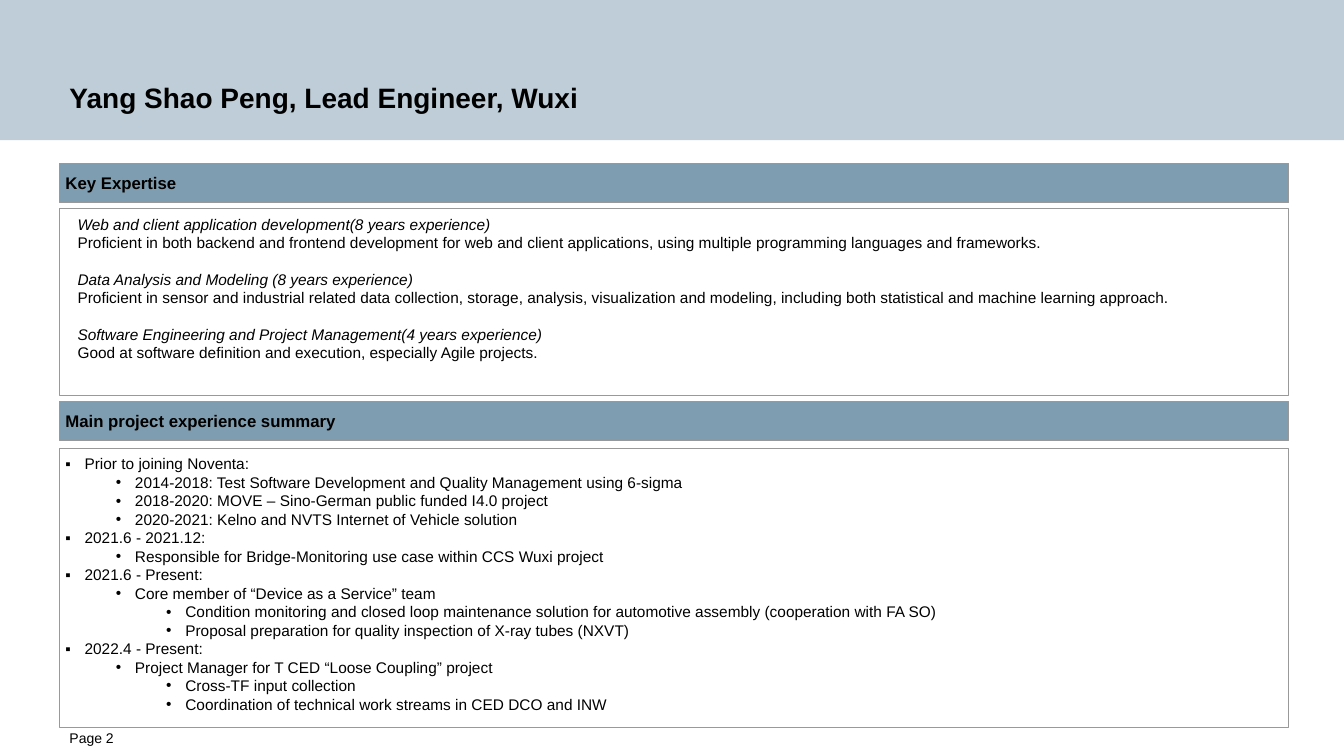
from dataclasses import dataclass

import pptx
import pptx.dml.color
import pptx.enum.shapes
import pptx.enum.text
import pptx.oxml.ns
import pptx.util
from lxml import etree

ANCHOR = pptx.enum.text.MSO_ANCHOR
EMU_PER_PX = 9144  # 100 px to the inch


def px(length):
    return pptx.util.Emu(length * EMU_PER_PX)


def rgb(value):
    return pptx.dml.color.RGBColor.from_string(value)


@dataclass(frozen=True)
class Theme:
    font: str = "Arial"
    text: str = "000000"
    band: str = "BECDD7"
    heading: str = "7F9DB0"
    panel: str = "FFFFFF"
    border: str = "999999"
    title_size: int = 20
    heading_size: int = 12
    body_size: int = 11
    footer_size: int = 10


def write(paragraph, text, theme, *, size, bold=False, italic=False,
          bullet=None, indent=0, hanging=0, before=0, spacing=None):
    """Fill a paragraph; indent and hanging are px, before is points."""
    properties = paragraph._p.get_or_add_pPr()
    if indent:
        properties.set("marL", str(px(indent)))
        properties.set("indent", str(px(-hanging)))
    if bullet:
        for tag, name, value in (("a:buFont", "typeface", theme.font),
                                 ("a:buChar", "char", bullet)):
            etree.SubElement(properties, pptx.oxml.ns.qn(tag)).set(name, value)
    paragraph.alignment = pptx.enum.text.PP_ALIGN.LEFT
    if before:
        paragraph.space_before = pptx.util.Pt(before)
    if spacing:
        paragraph.line_spacing = spacing
    run = paragraph.add_run()
    run.text = text
    run.font.name = theme.font
    run.font.size = pptx.util.Pt(size)
    run.font.bold = bold
    run.font.italic = italic
    run.font.color.rgb = rgb(theme.text)


class ProfileSlide:
    def __init__(self, slide, theme):
        self.slide = slide
        self.theme = theme

    def _fill_frame(self, frame, lines, insets, anchor):
        frame.word_wrap = True
        frame.vertical_anchor = anchor
        (frame.margin_left, frame.margin_top,
         frame.margin_right, frame.margin_bottom) = map(px, insets)
        for number, (text, style) in enumerate(lines):
            paragraph = frame.add_paragraph() if number else frame.paragraphs[0]
            write(paragraph, text, self.theme, **style)

    def box(self, place, fill, lines, *, insets=(6, 6, 6, 6),
            anchor=ANCHOR.TOP, border=True):
        shape = self.slide.shapes.add_shape(
            pptx.enum.shapes.MSO_SHAPE.RECTANGLE, *map(px, place))
        shape.shadow.inherit = False
        shape.fill.solid()
        shape.fill.fore_color.rgb = rgb(fill)
        if border:
            shape.line.color.rgb = rgb(self.theme.border)
            shape.line.width = pptx.util.Pt(0.75)
        else:
            shape.line.fill.background()
        self._fill_frame(shape.text_frame, lines, insets, anchor)

    def title(self, text):
        style = dict(size=self.theme.title_size, bold=True)
        self.box((0, 0, 1334, 139), self.theme.band, [(text, style)],
                 insets=(69, 43, 232, 26), anchor=ANCHOR.BOTTOM, border=False)

    def heading(self, top, text):
        style = dict(size=self.theme.heading_size, bold=True)
        self.box((59, top, 1220, 39), self.theme.heading, [(text, style)],
                 anchor=ANCHOR.MIDDLE)

    def panel(self, top, height, lines):
        self.box((59, top, 1220, height), self.theme.panel, lines)

    def footer(self, text):
        label = self.slide.shapes.add_textbox(*map(px, (0, 722, 193, 28)))
        style = dict(size=self.theme.footer_size, spacing=1.1)
        self._fill_frame(label.text_frame, [(text, style)],
                         (69, 0, 0, 13), ANCHOR.TOP)


EXPERTISE = [
    ("Web and client application development(8 years experience)",
     "Proficient in both backend and frontend development for web and client "
     "applications, using multiple programming languages and frameworks."),
    ("Data Analysis and Modeling (8 years experience)",
     "Proficient in sensor and industrial related data collection, storage, analysis, "
     "visualization and modeling, including both statistical and machine learning approach."),
    ("Software Engineering and Project Management(4 years experience)",
     "Good at software definition and execution, especially Agile projects."),
]

PROJECTS = [  # (outline level, text)
    (0, "Prior to joining Noventa:"),
    (1, "2014-2018: Test Software Development and Quality Management using 6-sigma"),
    (1, "2018-2020: MOVE – Sino-German public funded I4.0 project"),
    (1, "2020-2021: Kelno and NVTS Internet of Vehicle solution"),
    (0, "2021.6 - 2021.12:"),
    (1, "Responsible for Bridge-Monitoring use case within CCS Wuxi project"),
    (0, "2021.6 - Present:"),
    (1, "Core member of “Device as a Service” team"),
    (2, "Condition monitoring and closed loop maintenance solution for automotive "
        "assembly (cooperation with FA SO)"),
    (2, "Proposal preparation for quality inspection of X-ray tubes (NXVT)"),
    (0, "2022.4 - Present:"),
    (1, "Project Manager for T CED “Loose Coupling” project"),
    (2, "Cross-TF input collection"),
    (2, "Coordination of technical work streams in CED DCO and INW"),
]


def expertise_lines(size):
    lines = []
    for skill, summary in EXPERTISE:
        gap = 13 if lines else 0
        lines.append((skill, dict(size=size, italic=True, indent=12, before=gap)))
        lines.append((summary, dict(size=size, indent=12)))
    return lines


def project_lines(size):
    return [(text, dict(size=size, bullet="•" if level else "▪",
                        indent=19 + 50 * level, hanging=19))
            for level, text in PROJECTS]


def main():
    deck = pptx.Presentation()
    deck.slide_width, deck.slide_height = px(1334), px(750)
    theme = Theme()
    profile = ProfileSlide(deck.slides.add_slide(deck.slide_layouts[6]), theme)
    profile.title("Yang Shao Peng, Lead Engineer, Wuxi")
    profile.footer("Page 2")
    profile.heading(162, "Key Expertise")
    profile.panel(207, 185, expertise_lines(theme.body_size))
    profile.heading(398, "Main project experience summary")
    profile.panel(445, 277, project_lines(theme.body_size))
    deck.save("out.pptx")


if __name__ == "__main__":
    main()
